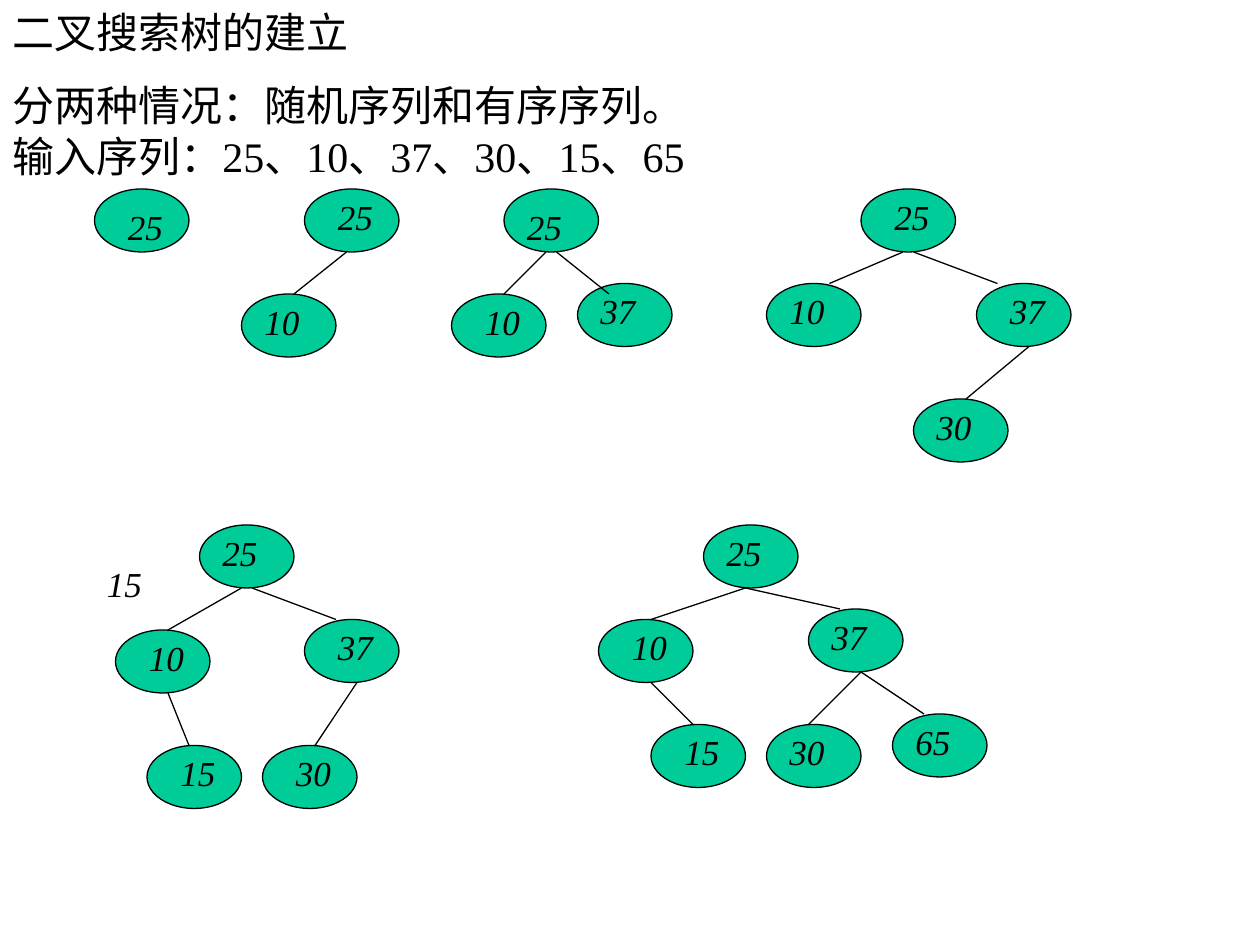
from typing import NamedTuple

from lxml import etree
from pptx import Presentation
from pptx.dml.color import RGBColor
from pptx.enum.shapes import MSO_CONNECTOR, MSO_SHAPE
from pptx.enum.text import MSO_ANCHOR, MSO_AUTO_SIZE, PP_ALIGN
from pptx.oxml.ns import qn
from pptx.util import Pt

ELLIPSE = MSO_SHAPE.OVAL
STRAIGHT = MSO_CONNECTOR.STRAIGHT
TOP, MIDDLE = MSO_ANCHOR.TOP, MSO_ANCHOR.MIDDLE
LEFT = PP_ALIGN.LEFT
NO_FIT = MSO_AUTO_SIZE.NONE

FONT = "Times New Roman"
BLACK, GREEN = "000000", "00CC99"
NODE_WIDTH, NODE_HEIGHT = 54, 36
LABEL_WIDTH, LABEL_HEIGHT = 36, 32
LINE_WIDTH = 0.75
TITLE_LAYOUT = 5


class Node(NamedTuple):
    key: str
    left: float
    top: float
    label_dx: float = 12
    label_dy: float = 0


class Edge(NamedTuple):
    x1: float
    y1: float
    x2: float
    y2: float


class Tree(NamedTuple):
    nodes: list[Node]
    edges: list[Edge]


# One tree for each stage of the insertion, in points
TREES = [
    Tree([Node("25", 54, 108, 12, 6)], []),
    Tree([Node("25", 174, 108), Node("10", 138, 168, 6)],
         [Edge(198, 144, 168, 168)]),
    Tree([Node("25", 288, 108, 6, 6), Node("10", 258, 168),
          Node("37", 330, 162, 6)],
         [Edge(312, 144, 288, 168), Edge(318, 144, 348, 168)]),
    Tree([Node("25", 492, 108), Node("10", 438, 162, 6),
          Node("37", 558, 162), Node("30", 522, 228, 6)],
         [Edge(516, 144, 474, 162), Edge(522, 144, 570, 162),
          Edge(588, 198, 552, 228)]),
    Tree([Node("25", 114, 300, 6), Node("10", 66, 360), Node("37", 174, 354),
          Node("30", 150, 426), Node("15", 84, 426)],
         [Edge(138, 336, 96, 360), Edge(144, 336, 192, 354),
          Edge(96, 396, 108, 426), Edge(204, 390, 180, 426)]),
    Tree([Node("25", 402, 300, 6), Node("10", 342, 354),
          Node("37", 462, 348, 6), Node("15", 372, 414),
          Node("30", 438, 414, 6), Node("65", 510, 408, 6)],
         [Edge(426, 336, 372, 354), Edge(426, 336, 480, 348),
          Edge(372, 390, 396, 414), Edge(492, 384, 462, 414),
          Edge(492, 384, 528, 408)]),
]


def color(value: str) -> RGBColor:
    return RGBColor.from_string(value)


def write(box, lines: list[str], size: float, anchor=TOP,
          italic: bool = False, hanging: float = 0) -> None:
    frame = box.text_frame
    frame.word_wrap = True
    frame.auto_size = NO_FIT
    frame.vertical_anchor = anchor
    frame.margin_left = frame.margin_right = Pt(7.2)
    frame.margin_top = frame.margin_bottom = Pt(3.6)
    for index, line in enumerate(lines):
        para = frame.paragraphs[0] if index == 0 else frame.add_paragraph()
        para.alignment = LEFT
        if hanging:
            properties = para._p.get_or_add_pPr()
            properties.set("marL", str(Pt(hanging)))
            properties.set("indent", str(-Pt(hanging)))
        span = para.add_run()
        span.text = line
        span.font.name = FONT
        span.font.size = Pt(size)
        span.font.italic = italic
        span.font.color.rgb = color(BLACK)


def add_node(slide, node: Node) -> None:
    oval = slide.shapes.add_shape(ELLIPSE, Pt(node.left), Pt(node.top),
                                  Pt(NODE_WIDTH), Pt(NODE_HEIGHT))
    oval.shadow.inherit = False
    oval.fill.solid()
    oval.fill.fore_color.rgb = color(GREEN)
    oval.line.color.rgb = color(BLACK)
    oval.line.width = Pt(LINE_WIDTH)


def add_label(slide, key: str, left: float, top: float) -> None:
    box = slide.shapes.add_textbox(Pt(left), Pt(top),
                                   Pt(LABEL_WIDTH), Pt(LABEL_HEIGHT))
    write(box, [key], 20, italic=True)


def add_edge(slide, edge: Edge) -> None:
    line = slide.shapes.add_connector(STRAIGHT, Pt(edge.x1), Pt(edge.y1),
                                      Pt(edge.x2), Pt(edge.y2))
    line.line.color.rgb = color(BLACK)
    line.line.width = Pt(LINE_WIDTH)
    etree.SubElement(line._element.spPr, qn("a:effectLst"))


def main() -> None:
    deck = Presentation()
    deck.slide_width, deck.slide_height = Pt(720), Pt(540)
    slide = deck.slides.add_slide(deck.slide_layouts[TITLE_LAYOUT])

    # Title and introduction
    title = slide.shapes.title
    title.left, title.top = Pt(0), Pt(0)
    title.width, title.height = Pt(612), Pt(36)
    write(title, ["二叉搜索树的建立"], 24, MIDDLE)
    intro = slide.shapes.add_textbox(Pt(0), Pt(42), Pt(702), Pt(480))
    write(intro, ["分两种情况：随机序列和有序序列。",
                  "输入序列：25、10、37、30、15、65"], 24, hanging=27)

    # Trees: ovals at the back, then keys, then branches
    nodes = [node for tree in TREES for node in tree.nodes]
    for node in nodes:
        add_node(slide, node)
    for node in nodes:
        add_label(slide, node.key, node.left + node.label_dx,
                  node.top + node.label_dy)
    for tree in TREES:
        for edge in tree.edges:
            add_edge(slide, edge)

    # Key about to be inserted into the fifth tree
    add_label(slide, "15", 54, 318)

    deck.save("out.pptx")


if __name__ == "__main__":
    main()
